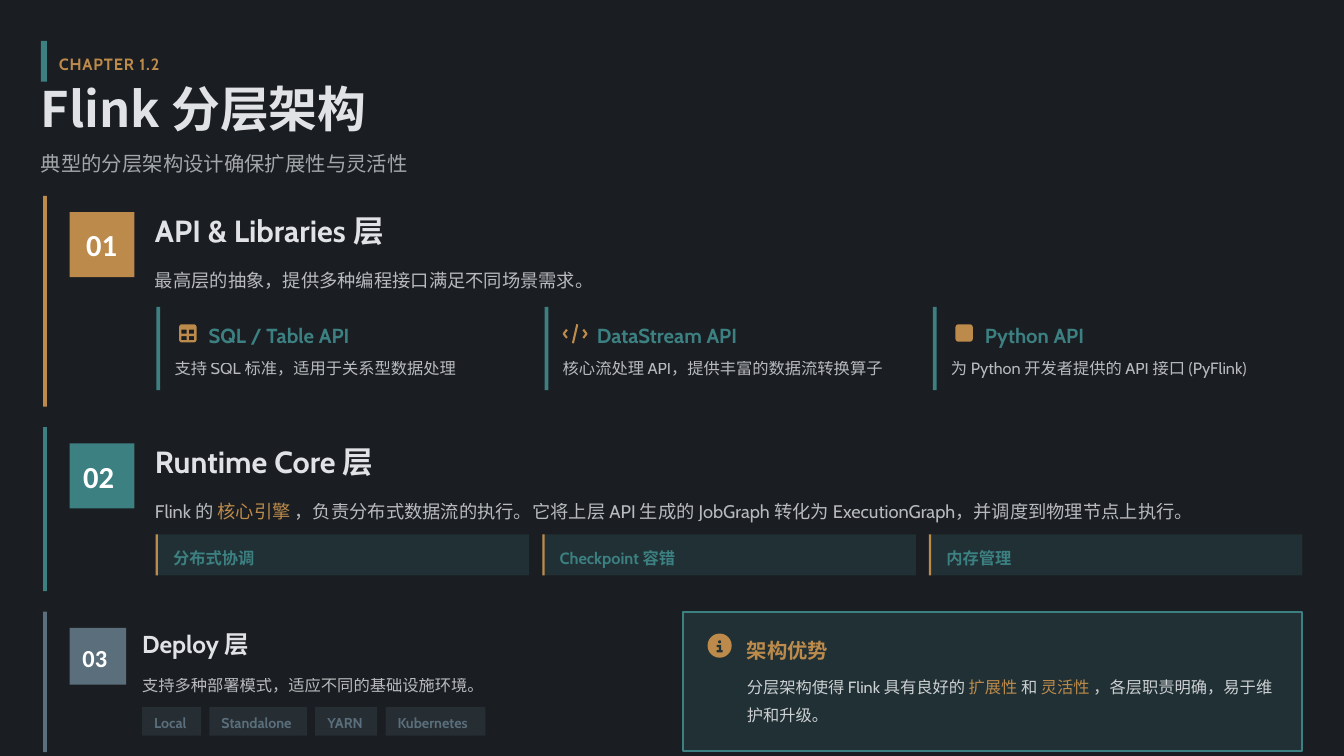
from dataclasses import dataclass
from typing import NamedTuple

from pptx import Presentation
from pptx.dml.color import RGBColor
from pptx.enum.shapes import MSO_SHAPE
from pptx.enum.text import MSO_ANCHOR, MSO_AUTO_SIZE, PP_ALIGN
from pptx.oxml import parse_xml
from pptx.oxml.ns import nsdecls, qn
from pptx.util import Inches, Pt

CELL = Inches(1)  # one grid cell; the slide is 17.78 columns by 10 rows
WIDE, HIGH = 17.78, 10


@dataclass(frozen=True)
class Theme:
    back: str = "1A1D21"
    teal: str = "3C8082"
    gold: str = "BC8A4B"
    slate: str = "5A6F7B"
    pale: str = "E0E2E5"
    white: str = "FFFFFF"
    panel: str = "213134"
    face: str = "Cabin"
    digit: str = "Calibri"
    asian: str = "Noto Sans CJK SC"
    title: float = 46.5
    head: float = 29.1
    small: float = 23.3
    sub: float = 19.4
    body: float = 17.4
    note: float = 15.5
    tag: float = 13.6


T = Theme()


class Box(NamedTuple):
    col: float
    row: float
    wide: float
    high: float


class Run(NamedTuple):
    text: str
    size: float
    color: str = T.pale
    bold: bool = False
    alpha: int = 100
    face: str = T.face
    track: int = 0


class Layer(NamedTuple):
    row: float
    high: float
    badge: float
    inset: float
    col: float
    size: float
    lead: float
    num: str
    name: str
    color: str


class Card(NamedTuple):
    icon: str
    name: str
    text: str
    wide: float


def fade(node, alpha: int) -> None:
    if alpha < 100:
        for clr in node.iter(qn("a:srgbClr")):
            clr.append(parse_xml(f'<a:alpha {nsdecls("a")} val="{alpha * 1000}"/>'))


def fill_text(frame, runs: list[Run], lead: float = 1, pad: float = 0, wrap: bool = True) -> None:
    frame.word_wrap = wrap
    frame.auto_size = MSO_AUTO_SIZE.NONE
    frame.vertical_anchor = MSO_ANCHOR.MIDDLE
    frame.margin_left = int(pad * CELL)
    frame.margin_right = frame.margin_top = frame.margin_bottom = 0
    para = frame.paragraphs[0]
    para.alignment = PP_ALIGN.LEFT
    para.line_spacing = lead
    para.space_before = Pt(0)
    for item in runs:
        run = para.add_run()
        run.text = item.text
        font = run.font
        font.size, font.bold, font.name = Pt(item.size), item.bold, item.face
        font.color.rgb = RGBColor.from_string(item.color)
        props = run._r.get_or_add_rPr()
        fade(props, item.alpha)
        props.find(qn("a:latin")).addnext(
            parse_xml(f'<a:ea {nsdecls("a")} typeface="{T.asian}"/>'))
        if item.track:
            props.set("spc", str(item.track))


def place(shape, box: Box) -> None:
    shape.left, shape.top, shape.width, shape.height = (int(n * CELL) for n in box)


def add_text(shapes, box: Box, runs: list[Run], lead: float = 1) -> None:
    fill_text(shapes.add_textbox(*(int(n * CELL) for n in box)).text_frame, runs, lead)


def paint(shape, color: str, alpha: int = 100) -> None:
    shape.shadow.inherit = False
    shape.line.fill.background()
    shape.fill.solid()
    shape.fill.fore_color.rgb = RGBColor.from_string(color)
    fade(shape._element.spPr, alpha)


def add_box(shapes, box: Box, color: str, alpha: int = 100, kind=MSO_SHAPE.RECTANGLE):
    shape = shapes.add_shape(kind, *(int(n * CELL) for n in box))
    paint(shape, color, alpha)
    return shape


def trace(shapes, col: float, row: float, loops: list, close: bool = True):
    """Draw loops of points, each in hundredths of a cell from col, row."""
    def spot(x, y):
        return int((col + x / 100) * CELL), int((row + y / 100) * CELL)
    pen = shapes.build_freeform(*spot(*loops[0][0]))
    for n, loop in enumerate(loops):
        if n:
            pen.move_to(*spot(*loop[0]))
        pen.add_line_segments([spot(*p) for p in loop[1:]], close=close)
    return pen.convert_to_shape()


def add_icon(shapes, kind: str, col: float, row: float) -> None:
    if kind == "table":
        rim = [(0, 3), (1, 1), (3, 0), (20, 0), (22, 1), (23, 3),
               (23, 21), (22, 23), (20, 24), (3, 24), (1, 23), (0, 21)]
        holes = [[(x, y), (x, y + 5.5), (x + 7, y + 5.5), (x + 7, y)]
                 for x in (3, 13) for y in (7, 15.5)]
        paint(trace(shapes, col, row, [rim, *holes]), T.gold)
    elif kind == "code":
        marks = [[(-2, 7), (-8, 12.5), (-2, 18)], [(17, 0), (9, 25)],
                 [(12 + 16, 7), (34 - 0, 12.5), (28, 18)]]
        shape = trace(shapes, col - 0.02, row, [[(x * 0.72 + 3, y) for x, y in m] for m in marks], False)
        shape.shadow.inherit = False
        shape.fill.background()
        shape.line.color.rgb = RGBColor.from_string(T.gold)
        shape.line.width = Pt(2)
    else:
        add_box(shapes, Box(col, row, 0.23, 0.23), T.gold, kind=MSO_SHAPE.ROUNDED_RECTANGLE)


def add_layer(shapes, layer: Layer) -> None:
    top = layer.row + 0.215
    add_box(shapes, Box(0.57, layer.row, 0.05, layer.high), layer.color)
    badge = add_box(shapes, Box(0.92, top, layer.badge, layer.badge), layer.color)
    fill_text(badge.text_frame, [Run(layer.num, layer.size, T.white, True, face=T.digit)],
              layer.lead, layer.inset, False)
    high = layer.size / 60
    add_text(shapes, Box(layer.col, top, 7, high), [Run(layer.name, layer.size, T.pale, True)], layer.lead)


def add_card(shapes, col: float, card: Card) -> None:
    add_box(shapes, Box(col, 4.06, 0.05, 1.1), T.teal)
    add_icon(shapes, card.icon, col + 0.3, 4.29)
    add_text(shapes, Box(col + 0.69, 4.22, card.wide, 0.38), [Run(card.name, T.sub, T.teal, True)], 1.2)
    add_text(shapes, Box(col + 0.24, 4.71, 4.76, 0.3), [Run(card.text, T.note, alpha=80)], 1.1)


def main() -> None:
    deck = Presentation()
    deck.slide_width, deck.slide_height = int(WIDE * CELL), int(HIGH * CELL)
    slide = deck.slides.add_slide(deck.slide_layouts[5])
    slide.background.fill.solid()
    slide.background.fill.fore_color.rgb = RGBColor.from_string(T.back)
    shapes = slide.shapes

    # Header
    add_box(shapes, Box(0.54, 0.54, 0.08, 0.54), T.teal)
    add_text(shapes, Box(0.78, 0.65, 1.52, 0.32), [Run("CHAPTER 1.2", T.note, T.gold, True, track=80)], 1.3)
    place(shapes.title, Box(0.54, 1.18, 17.02, 0.65))
    fill_text(shapes.title.text_frame, [Run("Flink 分层架构", T.title, T.pale, True, face=T.asian)], 0.8)
    add_text(shapes, Box(0.54, 1.94, 16.84, 0.38),
             [Run("典型的分层架构设计确保扩展性与灵活性", T.sub, alpha=70)], 1.2)

    # Layer frames
    for layer in (
        Layer(2.59, 2.79, 0.86, 0.22, 2.05, T.head, 1, "01", "API & Libraries 层", T.gold),
        Layer(5.65, 2.17, 0.86, 0.18, 2.05, T.head, 1, "02", "Runtime Core 层", T.teal),
        Layer(8.09, 1.86, 0.75, 0.17, 1.88, T.small, 1.1, "03", "Deploy 层", T.slate),
    ):
        add_layer(shapes, layer)

    # API cards
    add_text(shapes, Box(2.05, 3.45, 15.31, 0.39),
             [Run("最高层的抽象，提供多种编程接口满足不同场景需求。", T.body, alpha=80)], 1.4)
    cards = (Card("table", "SQL / Table API", "支持 SQL 标准，适用于关系型数据处理", 2.09),
             Card("code", "DataStream API", "核心流处理 API，提供丰富的数据流转换算子", 2.09),
             Card("block", "Python API", "为 Python 开发者提供的 API 接口 (PyFlink)", 1.48))
    for n, card in enumerate(cards):
        add_card(shapes, 2.07 + n * 5.135, card)

    # Runtime features
    add_text(shapes, Box(2.05, 6.51, 15.31, 0.39), [
        Run("Flink 的", T.body, alpha=80), Run(" 核心引擎 ", T.body, T.gold),
        Run("，负责分布式数据流的执行。它将上层 API 生成的 JobGraph 转化为 ExecutionGraph，并调度到物理节点上执行。",
            T.body, alpha=80)], 1.4)
    for n, name in enumerate(("分布式协调", "Checkpoint 容错", "内存管理")):
        col = 2.06 + n * 5.115
        chip = add_box(shapes, Box(col, 7.07, 4.94, 0.54), T.teal, 20)
        fill_text(chip.text_frame, [Run(name, T.note, T.teal, True)], 1.3, 0.23)
        add_box(shapes, Box(col, 7.07, 0.03, 0.54), T.gold)

    # Deploy tags
    add_text(shapes, Box(1.88, 8.84, 4.64, 0.35),
             [Run("支持多种部署模式，适应不同的基础设施环境。", T.note, alpha=80)], 1.4)
    col = 1.88
    for name, wide in (("Local", 0.78), ("Standalone", 1.29), ("YARN", 0.82), ("Kubernetes", 1.32)):
        tag = add_box(shapes, Box(col, 9.35, wide, 0.38), T.slate, 20)
        fill_text(tag.text_frame, [Run(name, T.tag, T.slate, True)], 1.2, 0.16, False)
        col += wide + 0.11

    # Benefits panel
    panel = add_box(shapes, Box(9.04, 8.1, 8.18, 1.83), T.teal, 20)
    panel.line.color.rgb = RGBColor.from_string(T.teal)
    panel.line.width = Pt(2)
    add_box(shapes, Box(9.36, 8.38, 0.32, 0.32), T.gold, kind=MSO_SHAPE.OVAL)
    add_box(shapes, Box(9.5, 8.47, 0.04, 0.04), T.panel, kind=MSO_SHAPE.OVAL)
    stem = [(2, 0), (6, 0), (6, 7), (8, 7), (8, 10), (0, 10), (0, 7), (3, 7), (3, 3), (0, 3), (0, 0)]
    paint(trace(shapes, 9.48, 8.53, [stem]), T.panel)
    add_text(shapes, Box(9.88, 8.38, 7.19, 0.38), [Run("架构优势", T.sub, T.gold, True)], 1.2)
    add_text(shapes, Box(9.88, 8.87, 7.16, 0.7), [
        Run("分层架构使得 Flink 具有良好的", T.note, alpha=90), Run(" 扩展性 ", T.note, T.gold),
        Run("和", T.note, alpha=90), Run(" 灵活性 ", T.note, T.gold),
        Run("，各层职责明确，易于维护和升级。", T.note, alpha=90)], 1.4)

    deck.save("out.pptx")


if __name__ == "__main__":
    main()
